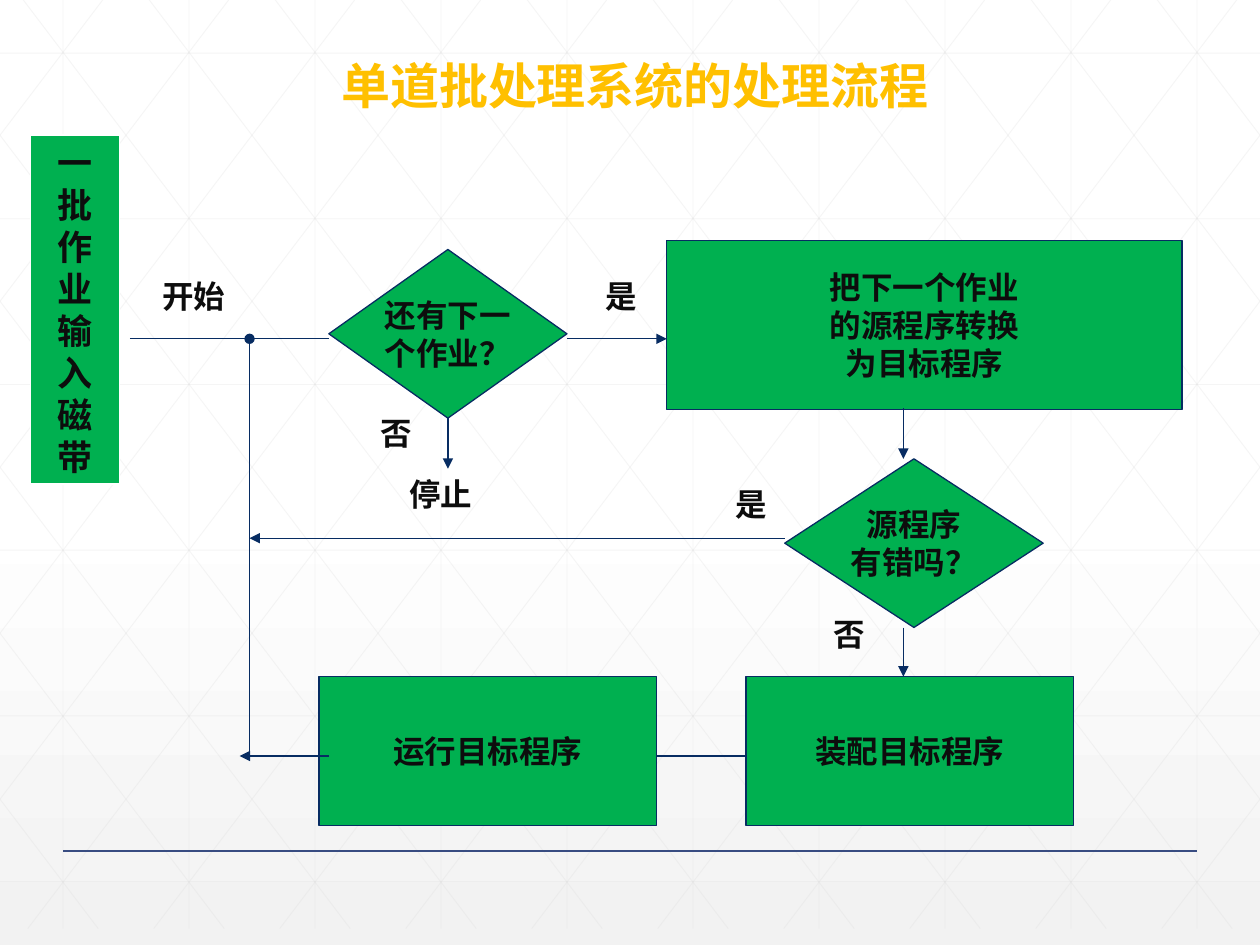
import copy
import lxml.etree
import pptx
import pptx.dml.color
import pptx.enum.shapes
import pptx.enum.text
import pptx.oxml.ns
import pptx.util

Cm = pptx.util.Cm
Pt = pptx.util.Pt
qn = pptx.oxml.ns.qn
color = pptx.dml.color.RGBColor.from_string
shapes = pptx.enum.shapes.MSO_SHAPE
alignments = pptx.enum.text.PP_ALIGN
anchors = pptx.enum.text.MSO_ANCHOR

GREEN, NAVY, INK, GOLD = "00B050", "072C62", "0D0D0D", "FFC000"

presentation = pptx.Presentation()
presentation.slide_width = Cm(25.4)
presentation.slide_height = Cm(19.05)
slide = presentation.slides.add_slide(presentation.slide_layouts[6])


def add_line(ends, line_color=NAVY, width=0.75, tail=None, alpha=None):
    connector = slide.shapes.add_connector(
        pptx.enum.shapes.MSO_CONNECTOR.STRAIGHT, *[Cm(value) for value in ends]
    )
    connector.line.color.rgb = color(line_color)
    connector.line.width = Pt(width)
    properties = connector.element.spPr
    outline = properties.find(qn("a:ln"))
    if alpha:
        shade = outline.find(".//" + qn("a:srgbClr"))
        lxml.etree.SubElement(shade, qn("a:alpha"), val=str(alpha * 1000))
    if tail:
        lxml.etree.SubElement(outline, qn("a:tailEnd"), type=tail)
    lxml.etree.SubElement(properties, qn("a:effectLst"))
    return connector


def write_text(shape, lines, size, text_color, alignment, anchor, wrap):
    frame = shape.text_frame
    frame.word_wrap = wrap
    frame.vertical_anchor = anchor
    frame.text = "\n".join(lines)
    font_format = {"name": "Arial", "size": Pt(size), "bold": True}
    for paragraph in frame.paragraphs:
        paragraph.alignment = alignment
        for run in paragraph.runs:
            for name, value in font_format.items():
                setattr(run.font, name, value)
            run.font.color.rgb = color(text_color)


background = slide.background.fill
background.gradient()
background.gradient_angle = 270
stop_list = slide.element.find(".//" + qn("a:gsLst"))
stop_list.insert(0, copy.deepcopy(stop_list[0]))
background_stops = [(0, "FFFFFF"), (0.53, "FFFFFF"), (1, "F2F2F2")]
for stop, (position, stop_color) in zip(background.gradient_stops, background_stops):
    stop.position = position
    stop.color.rgb = color(stop_color)

grid_width, grid_height, diagonal_run = 25.4, 18.72, 14.21
grid = []
for column in range(10):
    x = 1.27 + 2.54 * column
    grid.append((x, 0, x, grid_height))
for row in range(6):
    y = 1.07 + 3.34 * row
    grid.append((0, y, grid_width, y))
for diagonal in range(-5, 10):
    origin = 0.47 + 2.54 * diagonal
    left = max(0, origin)
    right = min(grid_width, origin + diagonal_run)
    top, bottom = [(x - origin) * grid_height / diagonal_run for x in (left, right)]
    grid.append((left, top, right, bottom))
    grid.append((grid_width - left, top, grid_width - right, bottom))
for ends in grid:
    add_line(ends, "D9D9D9", 0.5, alpha=25)

add_line((1.27, 17.15, 24.13, 17.15), "384C81", 1)
add_line((15.04, 15.24, 13.03, 15.24), tail="triangle")

steps = [
    (shapes.DIAMOND, (6.63, 5.03, 4.8, 3.4), ["还有下一", "个作业？"]),
    (shapes.RECTANGLE, (13.44, 4.85, 10.39, 3.4), ["把下一个作业", "的源程序转换", "为目标程序"]),
    (shapes.DIAMOND, (15.82, 9.25, 5.21, 3.4), ["源程序", "有错吗？"]),
    (shapes.RECTANGLE, (15.04, 13.64, 6.6, 3), ["装配目标程序"]),
    (shapes.RECTANGLE, (6.43, 13.64, 6.81, 3), ["运行目标程序"]),
    (shapes.RECTANGLE, (0.61, 2.72, 1.8, 7.04), ["一批作业输入磁带"]),
]
step_shapes = []
for kind, box, lines in steps:
    shape = slide.shapes.add_shape(kind, *[Cm(value) for value in box])
    shape.shadow.inherit = False
    shape.fill.solid()
    shape.fill.fore_color.rgb = color(GREEN)
    shape.line.color.rgb = color(NAVY)
    shape.line.width = Pt(0.75)
    write_text(shape, lines, 18, INK, alignments.CENTER, anchors.MIDDLE, False)
    step_shapes.append(shape)

next_job, tape = step_shapes[0], step_shapes[-1]
tape.line.color.rgb = color("FFFFFF")
write_text(tape, steps[-1][2], 20, INK, alignments.CENTER, anchors.TOP, True)

flow_lines = [
    ((2.62, 6.83, 6.63, 6.83), None),
    ((11.43, 6.83, 13.44, 6.83), "triangle"),
    ((18.21, 8.23, 18.21, 9.25), "triangle"),
    ((18.21, 12.65, 18.21, 13.64), "triangle"),
    ((6.63, 15.24, 4.83, 15.24), "triangle"),
    ((5.03, 15.24, 5.03, 6.83), "oval"),
    ((15.82, 10.85, 5.03, 10.85), "triangle"),
]
for ends, tail in flow_lines:
    add_line(ends, tail=tail)
stop_arrow = add_line((9.03, 8.43, 9.03, 9.45), tail="triangle")
stop_arrow.begin_connect(next_job, 2)

labels = [
    ("单道批处理系统的处理流程", (6.63, 0.99, 12.78, 1.45), 28, GOLD),
    ("开始", (3.02, 5.46, 2.34, 1.02), 18, INK),
    ("是", (11.96, 5.46, 1.17, 1.02), 18, INK),
    ("否", (7.42, 8.23, 1.17, 1.02), 18, INK),
    ("停止", (8, 9.45, 2.46, 1.02), 18, INK),
    ("是", (14.58, 9.65, 1.17, 1.02), 18, INK),
    ("否", (16.56, 12.27, 1.17, 1.02), 18, INK),
]
for text, box, size, text_color in labels:
    shape = slide.shapes.add_textbox(*[Cm(value) for value in box])
    write_text(shape, [text], size, text_color, alignments.LEFT, anchors.TOP, True)

presentation.save("out.pptx")
